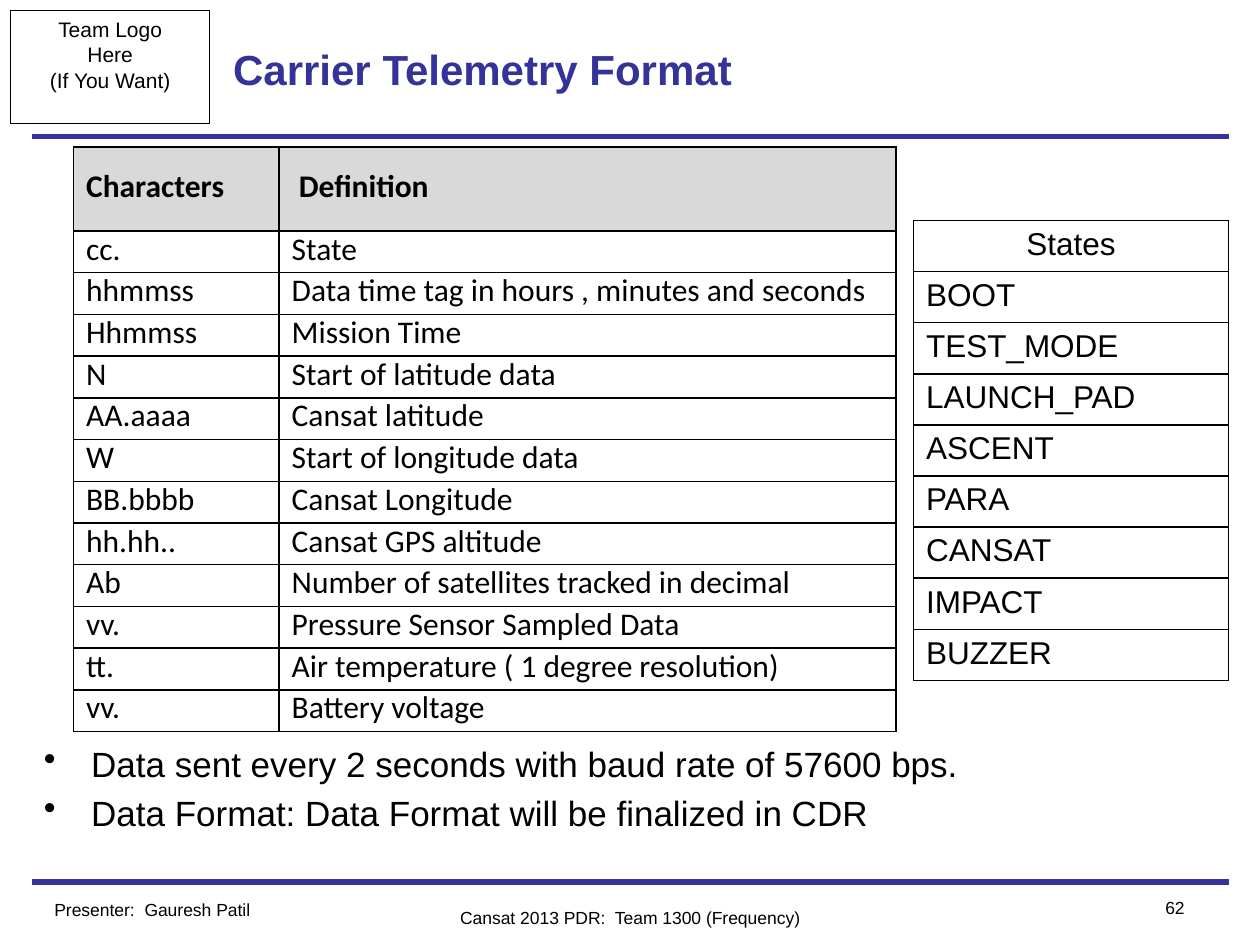
from lxml import etree
from pptx import Presentation
from pptx.dml.color import RGBColor
from pptx.enum import shapes, text
from pptx.oxml import ns
from pptx.util import Pt

BLACK = RGBColor(0, 0, 0)
NAVY = RGBColor(0x33, 0x33, 0x99)
GREY = RGBColor(0xD9, 0xD9, 0xD9)

# Content
TITLE = "Carrier Telemetry Format"
LOGO_LINES = ["Team Logo", "Here", "(If You Want)"]
FIELDS = [
    ("Characters", " Definition"),
    ("cc.", "State"),
    ("hhmmss", "Data time tag in hours , minutes and seconds"),
    ("Hhmmss", "Mission Time"),
    ("N", "Start of latitude data"),
    ("AA.aaaa", "Cansat latitude"),
    ("W", "Start of longitude data"),
    ("BB.bbbb", "Cansat Longitude"),
    ("hh.hh..", "Cansat GPS altitude"),
    ("Ab", "Number of satellites tracked in decimal"),
    ("vv.", "Pressure Sensor Sampled Data"),
    ("tt.", "Air temperature ( 1 degree resolution)"),
    ("vv.", "Battery voltage"),
]
STATES = ["States", "BOOT", "TEST_MODE", "LAUNCH_PAD", "ASCENT", "PARA",
          "CANSAT", "IMPACT", "BUZZER"]
BULLETS = [
    "Data sent every 2 seconds with baud rate of 57600 bps.",
    "Data Format: Data Format will be finalized in CDR",
]
LEFT, CENTER, RIGHT = text.PP_ALIGN.LEFT, text.PP_ALIGN.CENTER, text.PP_ALIGN.RIGHT
FOOTERS = [  # wording, left, top, width, alignment
    ("62", 630, 509, 54, RIGHT),
    ("Presenter:  Gauresh Patil", 24, 510, 180, LEFT),
    ("Cansat 2013 PDR:  Team 1300 (Frequency)", 216, 515, 288, CENTER),
]


def style(paragraph, size, color=BLACK, font="Arial", bold=False, align=LEFT):
    paragraph.alignment = align
    paragraph.font.name = font
    paragraph.font.size = Pt(size)
    paragraph.font.bold = bold
    paragraph.font.color.rgb = color


def add_text(slide, lines, left, top, width, height, size, align=LEFT):
    box = slide.shapes.add_textbox(Pt(left), Pt(top), Pt(width), Pt(height))
    box.text_frame.word_wrap = True
    box.text_frame.text = "\n".join(lines)
    for paragraph in box.text_frame.paragraphs:
        style(paragraph, size, align=align)
    return box


def add_rule(slide, y):
    rule = slide.shapes.add_connector(
        shapes.MSO_CONNECTOR.STRAIGHT, Pt(18), Pt(y), Pt(702), Pt(y))
    rule.line.color.rgb = NAVY
    rule.line.width = Pt(3)
    etree.SubElement(rule._element.spPr, ns.qn("a:effectLst"))


def add_borders(cell):
    properties = cell._tc.get_or_add_tcPr()
    for side in ("lnL", "lnR", "lnT", "lnB"):
        line = etree.SubElement(properties, ns.qn(f"a:{side}"), w=str(Pt(1)))
        fill = etree.SubElement(line, ns.qn("a:solidFill"))
        etree.SubElement(fill, ns.qn("a:srgbClr"), val=str(BLACK))


def add_grid(slide, rows, left, top, widths, heights):
    frame = slide.shapes.add_table(len(rows), len(widths), Pt(left), Pt(top),
                                   Pt(sum(widths)), Pt(sum(heights)))
    table = frame.table
    table.first_row = table.horz_banding = False
    for column, width in zip(table.columns, widths):
        column.width = Pt(width)
    for row, height, words in zip(table.rows, heights, rows):
        row.height = Pt(height)
        for cell, word in zip(row.cells, words):
            cell.text = word
            add_borders(cell)
            cell.fill.background()
    return table


presentation = Presentation()
presentation.slide_width, presentation.slide_height = Pt(720), Pt(540)
slide = presentation.slides.add_slide(presentation.slide_layouts[5])

# Title
title = slide.shapes.title
title.left, title.top, title.width, title.height = Pt(126), Pt(6), Pt(468), Pt(66)
title.text_frame.text = TITLE
title.text_frame.auto_size = text.MSO_AUTO_SIZE.NONE
title.text_frame.vertical_anchor = text.MSO_ANCHOR.MIDDLE
style(title.text_frame.paragraphs[0], 24, NAVY, bold=True)

# Rules under the title and above the footer
for y in (78, 504):
    add_rule(slide, y)

# Logo box
logo = slide.shapes.add_shape(
    shapes.MSO_SHAPE.RECTANGLE, Pt(6), Pt(6), Pt(114), Pt(64.5))
logo.shadow.inherit = False
logo.fill.background()
logo.line.color.rgb = BLACK
logo.line.width = Pt(0.5)
logo.text_frame.word_wrap = False
logo.text_frame.vertical_anchor = text.MSO_ANCHOR.TOP
logo.text_frame.text = "\n".join(LOGO_LINES)
for paragraph in logo.text_frame.paragraphs:
    style(paragraph, 12, align=CENTER)

# Telemetry fields
fields = add_grid(slide, FIELDS, 42, 84, (117.5, 352.5),
                  [48] + [23.7] * (len(FIELDS) - 1))
for index, row in enumerate(fields.rows):
    for cell in row.cells:
        cell.margin_top, cell.margin_bottom = Pt(2.2), Pt(3.6)
        cell.vertical_anchor = text.MSO_ANCHOR.MIDDLE
        paragraph = cell.text_frame.paragraphs[0]
        paragraph.line_spacing = 0.82
        style(paragraph, 18, font="Calibri", bold=index == 0)
        if index == 0:
            cell.fill.solid()
            cell.fill.fore_color.rgb = GREY

# Flight states
states = add_grid(slide, [(state,) for state in STATES], 522, 126, (180,),
                  [29.2] * len(STATES))
for index, cell in enumerate(states.iter_cells()):
    style(cell.text_frame.paragraphs[0], 18, align=LEFT if index else CENTER)

# Bullets
notes = add_text(slide, BULLETS, 18, 420.5, 684, 62, 20)
for index, paragraph in enumerate(notes.text_frame.paragraphs):
    if index:
        paragraph.space_before = Pt(4)
    properties = paragraph._p.get_or_add_pPr()
    properties.set("marL", str(Pt(27)))
    properties.set("indent", str(Pt(-27)))
    bullet = properties.makeelement(ns.qn("a:buChar"), {"char": "•"})
    properties.find(ns.qn("a:defRPr")).addprevious(bullet)

# Footer
for words, left, top, width, align in FOOTERS:
    add_text(slide, [words], left, top, width, 19.5, 10, align)

presentation.save("out.pptx")
